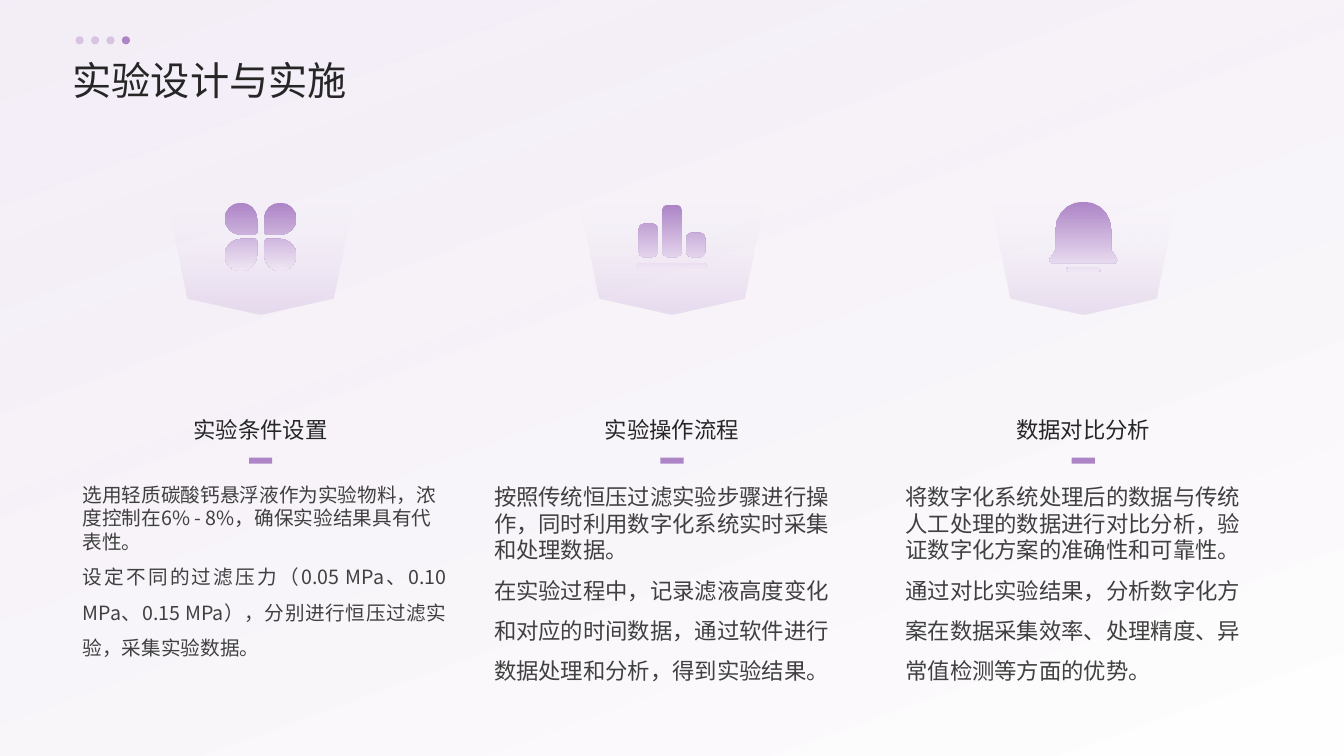
from math import cos, pi, sin
from lxml import etree
from pptx import Presentation
from pptx.dml.color import RGBColor
from pptx.enum.shapes import MSO_SHAPE
from pptx.enum.text import MSO_ANCHOR, PP_ALIGN
from pptx.oxml.ns import qn
from pptx.util import Inches, Pt

RECTANGLE, OVAL = MSO_SHAPE.RECTANGLE, MSO_SHAPE.OVAL
LEFT, CENTER, JUSTIFY = PP_ALIGN.LEFT, PP_ALIGN.CENTER, PP_ALIGN.JUSTIFY
TOP, MIDDLE, BOTTOM = MSO_ANCHOR.TOP, MSO_ANCHOR.MIDDLE, MSO_ANCHOR.BOTTOM

THEME = {
    "font": "Noto Sans CJK SC",
    "accent": "AD84C6",
    "pale": "EFE6F4",
    "white": "FFFFFF",
    "ink": "262626",
    "body": "404040",
    "title_size": 28,
    "heading_size": 16,
    "small_size": 14,
}


def write(frame, text, size, color, anchor=TOP, aligns=(LEFT,), spacings=(1.0,)):
    frame.word_wrap = True
    frame.vertical_anchor = anchor
    frame.margin_left = frame.margin_right = frame.margin_top = frame.margin_bottom = 0
    frame.text = text
    for para, align, spacing in zip(frame.paragraphs, aligns, spacings):
        para.alignment = align
        para.line_spacing = spacing
        para.space_before = Pt(0)
        for span in para.runs:
            span.font.size = Pt(size)
            span.font.name = THEME["font"]
            span.font.color.rgb = RGBColor.from_string(color)
            east_asian = etree.Element(qn("a:ea"), typeface=THEME["font"])
            span.font._element.find(qn("a:latin")).addnext(east_asian)


def rounded_box(left, top, right, bottom, radii):
    corners = [(left, top, 1, 1), (right, top, -1, 1), (right, bottom, -1, -1), (left, bottom, 1, -1)]
    points = []
    for turn, ((x, y, inward_x, inward_y), radius) in enumerate(zip(corners, radii)):
        if not radius:
            points.append((x, y))
            continue
        steps = round(1 + radius * 16)
        for step in range(steps + 1):
            angle = pi + (turn + step / steps) * pi / 2
            points.append((x + radius * (inward_x + cos(angle)),
                           y + radius * (inward_y + sin(angle))))
    return points


deck = Presentation()
deck.slide_width, deck.slide_height = Inches(13.33), Inches(7.5)
page = deck.slides.add_slide(deck.slide_layouts[5])
shapes = page.shapes

title = shapes.title
title.left, title.top, title.width, title.height = map(Inches, (0.72, 0.51, 11.88, 0.51))
write(title.text_frame, "实验设计与实施", THEME["title_size"], THEME["ink"],
      anchor=MIDDLE, spacings=(1.1,))

backdrop = shapes.add_shape(RECTANGLE, 0, 0, deck.slide_width, deck.slide_height)
title.element.addprevious(backdrop.element)
gradients = [(backdrop, 290, (0, THEME["pale"], 67), (1, THEME["white"], 92))]

DOT, DOT_LEFT, DOT_STEP, DOT_COUNT = 0.08, 0.75, 0.153, 4
for index in range(DOT_COUNT):
    dot = shapes.add_shape(OVAL, *map(Inches, (DOT_LEFT + index * DOT_STEP, 0.36, DOT, DOT)))
    dot.shadow.inherit = False
    dot.line.fill.background()
    dot.fill.solid()
    dot.fill.fore_color.rgb = RGBColor.from_string(THEME["accent"])
    if index < DOT_COUNT - 1:
        tint = next(dot.element.spPr.iter(qn("a:srgbClr")))
        etree.SubElement(tint, qn("a:alpha"), val="40000")

PETAL, PETAL_GAP, ROUND, TIGHT = 0.32, 0.035, 0.16, 0.02
clover = []
for row, y in enumerate((2.01, 2.37)):
    for column, x in enumerate((-PETAL - PETAL_GAP, PETAL_GAP)):
        radii = [ROUND] * 4
        radii[(2, 3, 1, 0)[row * 2 + column]] = TIGHT
        clover.append(rounded_box(x, y, x + PETAL, y + PETAL, radii))

BAR_WIDTH, BAR_STEP = 0.19, 0.235
bars = [rounded_box(-0.355, 2.61, 0.355, 2.67, [0.03] * 4)]
for index, top in enumerate((2.22, 2.03, 2.31)):
    left = (index - 1) * BAR_STEP - BAR_WIDTH / 2
    bars.append(rounded_box(left, top, left + BAR_WIDTH, 2.55, [0.05] * 4))

dome = rounded_box(-0.275, 2.0, 0.275, 2.48, [0.275, 0.275, 0, 0])
rim = [(0.34, 2.58), (0.32, 2.61), (-0.32, 2.61), (-0.34, 2.58)]
bell = [dome[:-1] + rim + dome[-1:], rounded_box(-0.17, 2.65, 0.17, 2.7, [0.025] * 4)]

badge = [[(-0.94, 1.88), (0.94, 1.88), (0.72, 2.96), (0, 3.12), (-0.72, 2.96)]]

COLUMN_LEFT, COLUMN_STEP, COLUMN_WIDTH = 0.82, 4.08, 3.53
columns = [
    (clover, "实验条件设置", 3.61, THEME["small_size"], JUSTIFY,
     "选用轻质碳酸钙悬浮液作为实验物料，浓度控制在6% - 8%，确保实验结果具有代表性。\n"
     "设定不同的过滤压力（0.05 MPa、0.10 MPa、0.15 MPa），分别进行恒压过滤实验，采集实验数据。"),
    (bars, "实验操作流程", COLUMN_WIDTH, THEME["heading_size"], LEFT,
     "按照传统恒压过滤实验步骤进行操作，同时利用数字化系统实时采集和处理数据。\n"
     "在实验过程中，记录滤液高度变化和对应的时间数据，通过软件进行数据处理和分析，得到实验结果。"),
    (bell, "数据对比分析", COLUMN_WIDTH, THEME["heading_size"], LEFT,
     "将数字化系统处理后的数据与传统人工处理的数据进行对比分析，验证数字化方案的准确性和可靠性。\n"
     "通过对比实验结果，分析数字化方案在数据采集效率、处理精度、异常值检测等方面的优势。"),
]
for index, (icon, heading, body_width, body_size, body_align, body) in enumerate(columns):
    left = COLUMN_LEFT + index * COLUMN_STEP
    center = left + COLUMN_WIDTH / 2

    for contours in (badge, icon):
        placed = [[(Inches(center + x), Inches(y)) for x, y in contour] for contour in contours]
        builder = shapes.build_freeform(*placed[0][0])
        for order, contour in enumerate(placed):
            if order:
                builder.move_to(*contour[0])
            builder.add_line_segments(contour[1:], close=True)
        outline = builder.convert_to_shape()
        if contours is badge:
            gradients.append((outline, 90, (0.05, THEME["accent"], 20), (1, THEME["white"], 0)))
        else:
            gradients.append((outline, 270, (0, THEME["accent"], 100), (1, THEME["pale"], 100)))

    heading_box = shapes.add_textbox(*map(Inches, (left, 3.56, COLUMN_WIDTH, 0.84)))
    write(heading_box.text_frame, heading, THEME["heading_size"], THEME["ink"],
          anchor=BOTTOM, aligns=(CENTER,), spacings=(1.3,))

    dash = shapes.add_shape(RECTANGLE, *map(Inches, (center - 0.115, 4.54, 0.23, 0.06)))
    dash.shadow.inherit = False
    dash.line.fill.background()
    dash.fill.solid()
    dash.fill.fore_color.rgb = RGBColor.from_string(THEME["accent"])

    body_box = shapes.add_textbox(*map(Inches, (left, 4.79, body_width, 2.2)))
    write(body_box.text_frame, body, body_size, THEME["body"],
          aligns=(LEFT, body_align), spacings=(1.0, 1.5))

for shape, angle, *ramp in gradients:
    shape.shadow.inherit = False
    shape.line.fill.background()
    shape.fill.gradient()
    shape.fill.gradient_angle = angle
    for stop, (position, color, opacity) in zip(shape.fill.gradient_stops, ramp):
        stop.position = position
        stop.color.rgb = RGBColor.from_string(color)
    for tint, (position, color, opacity) in zip(shape.element.spPr.iter(qn("a:srgbClr")), ramp):
        if opacity < 100:
            etree.SubElement(tint, qn("a:alpha"), val=str(opacity * 1000))

deck.save("out.pptx")
